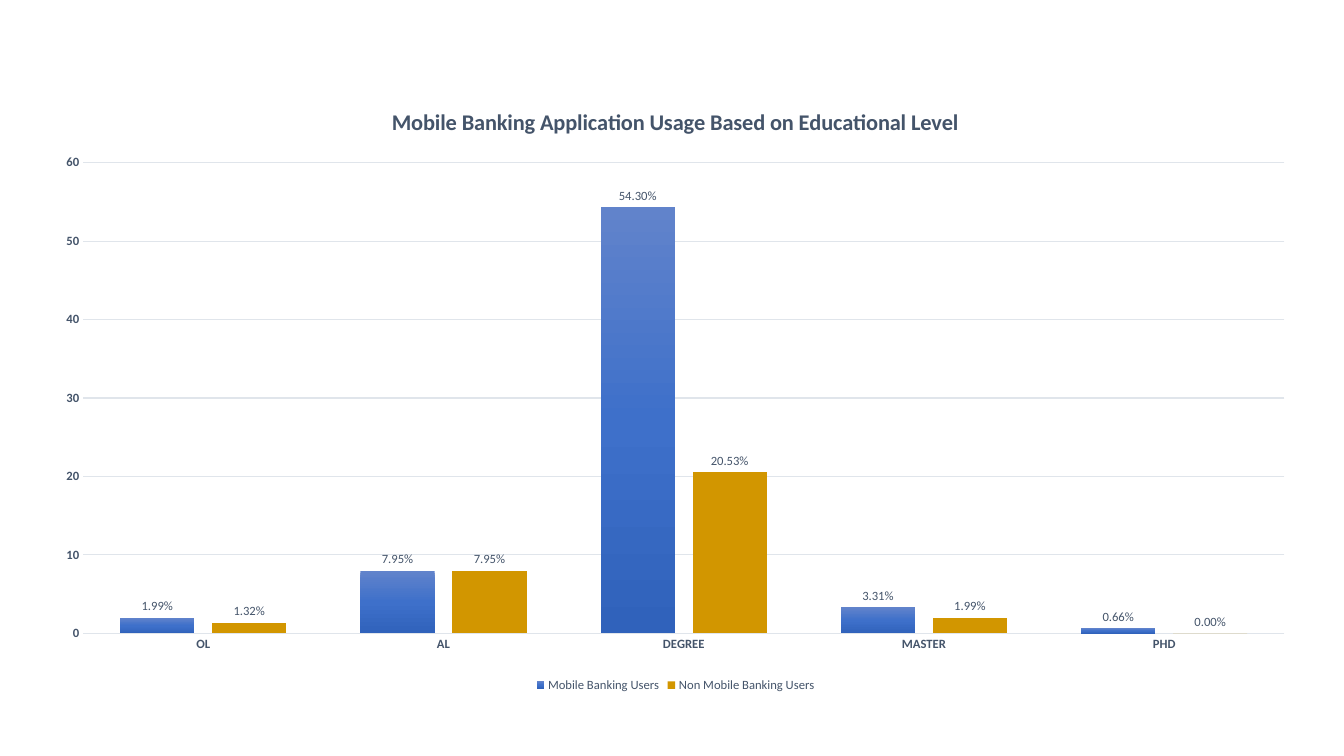
from pptx import Presentation, oxml
from pptx import util as u
from pptx.chart.data import CategoryChartData
from pptx.dml.color import RGBColor
from pptx.enum import chart as ch
from pptx.oxml.ns import nsdecls, qn

COLORS = {"text": "44546A", "grid": "E0E5EB", "non_users": "D29600",
          "users_top": "6183CB", "users_mid": "3E70CA", "users_bottom": "3062BB"}
LEVELS = ["OL", "AL", "DEGREE", "MASTER", "PHD"]
USAGE = {"Mobile Banking Users": [1.99, 7.95, 54.3, 3.31, 0.66],
         "Non Mobile Banking Users": [1.32, 7.95, 20.53, 1.99, 0]}


def style_font(font, size, bold=False):
    """Apply the slide's typeface and text colour."""
    font.name = "Calibri"
    font.size = u.Pt(size)
    font.bold = bold
    font.color.rgb = RGBColor.from_string(COLORS["text"])


def style_line(line):
    """Draw a thin pale line."""
    line.width = u.Pt(0.75)
    line.color.rgb = RGBColor.from_string(COLORS["grid"])


prs = Presentation()
prs.slide_width, prs.slide_height = u.Inches(13.33), u.Inches(7.5)
slide = prs.slides.add_slide(prs.slide_layouts[6])

usage_data = CategoryChartData(number_format="0.00")
usage_data.categories = LEVELS
for group, shares in USAGE.items():
    usage_data.add_series(group, shares)
usage = slide.shapes.add_chart(
    ch.XL_CHART_TYPE.COLUMN_CLUSTERED, u.Inches(0.41), u.Inches(0.85),
    u.Inches(12.58), u.Inches(6.06), usage_data).chart
style_font(usage.font, 10)

# Title and legend
usage.has_title = True
heading = usage.chart_title.text_frame
heading.text = "Mobile Banking Application Usage Based on Educational Level"
style_font(heading.paragraphs[0].runs[0].font, 16, bold=True)
usage.chart_title.include_in_layout = False
usage.has_legend = True
usage.legend.position = ch.XL_LEGEND_POSITION.BOTTOM
usage.legend.include_in_layout = False
style_font(usage.legend.font, 9)

# Axes
levels, percent = usage.category_axis, usage.value_axis
for axis in (levels, percent):
    axis.major_tick_mark = axis.minor_tick_mark = ch.XL_TICK_MARK.NONE
    style_font(axis.tick_labels.font, 9, bold=True)
style_line(levels.format.line)
percent.format.line.fill.background()
percent.minimum_scale, percent.maximum_scale, percent.major_unit = 0, 60, 10
percent.tick_labels.number_format = "0"
percent.tick_labels.number_format_is_linked = False
style_line(percent.major_gridlines.format.line)

# Columns and their labels
columns = usage.plots[0]
columns.gap_width, columns.overlap = 100, -24
columns.vary_by_categories = False
for group in columns.series:
    group.invert_if_negative = False
    labels = group.data_labels
    labels.show_value = True
    labels.position = ch.XL_LABEL_POSITION.OUTSIDE_END
    labels.number_format = '0.00"%"'
    labels.number_format_is_linked = False
    style_font(labels.font, 9)

users, non_users = columns.series
non_users.format.fill.solid()
non_users.format.fill.fore_color.rgb = RGBColor.from_string(COLORS["non_users"])

# Three-stop gradient running from top to bottom
stops = "".join(
    f'<a:gs pos="{pos * 1000}"><a:srgbClr val="{COLORS[name]}"/></a:gs>'
    for pos, name in ((0, "users_top"), (50, "users_mid"), (100, "users_bottom")))
users.format.fill.background()
users_props = users.format.fill._xPr
users_props.replace(users_props.find(qn("a:noFill")), oxml.parse_xml(
    f'<a:gradFill {nsdecls("a")} rotWithShape="1"><a:gsLst>{stops}</a:gsLst>'
    '<a:lin ang="5400000" scaled="0"/></a:gradFill>'))

# Fixed plot area, as fractions of the chart
plot_area = usage.element.find(".//" + qn("c:plotArea"))
for layout in plot_area.findall(qn("c:layout")):
    plot_area.remove(layout)
modes = "".join(f'<c:{side}Mode val="edge"/>' for side in "xy")
bounds = "".join(f'<c:{side} val="{size}"/>' for side, size in
                 (("x", 0.033), ("y", 0.126), ("w", 0.947), ("h", 0.771)))
plot_area.insert(0, oxml.parse_xml(
    f'<c:layout {nsdecls("c")}><c:manualLayout><c:layoutTarget val="inner"/>'
    f'{modes}{bounds}</c:manualLayout></c:layout>'))

prs.save("out.pptx")
